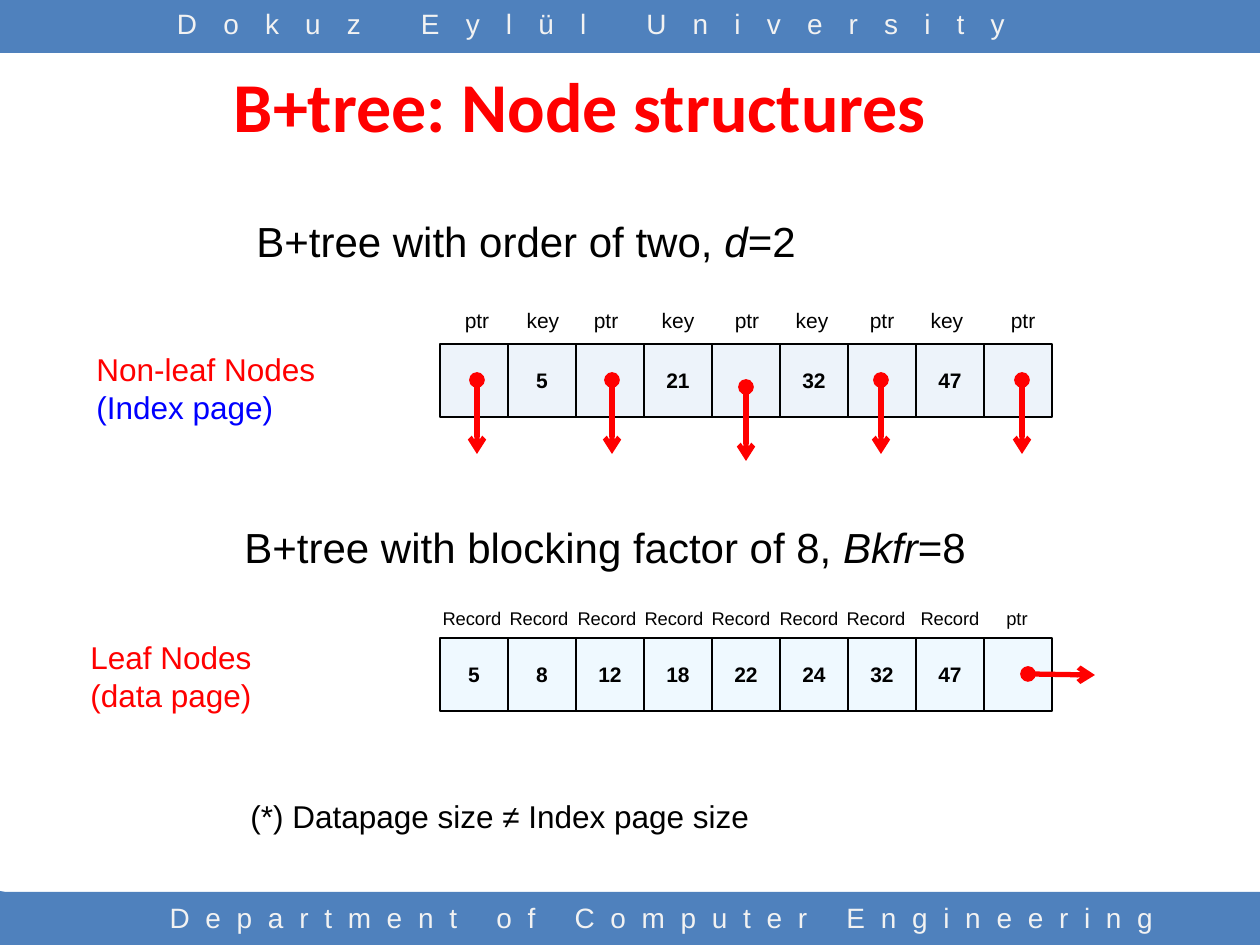
from dataclasses import dataclass

from lxml import etree
from pptx import Presentation
from pptx.dml.color import RGBColor
from pptx.enum.shapes import MSO_CONNECTOR, MSO_SHAPE
from pptx.enum.text import MSO_ANCHOR, MSO_AUTO_SIZE, PP_ALIGN
from pptx.oxml.ns import qn
from pptx.util import Pt

RECTANGLE = MSO_SHAPE.RECTANGLE
STRAIGHT = MSO_CONNECTOR.STRAIGHT
LEFT, CENTER = PP_ALIGN.LEFT, PP_ALIGN.CENTER
MIDDLE = MSO_ANCHOR.MIDDLE
FIT_SHAPE, FIT_NONE = MSO_AUTO_SIZE.SHAPE_TO_FIT_TEXT, MSO_AUTO_SIZE.NONE

PX_PER_INCH = 126
SLIDE_W, SLIDE_H = 1260, 945
BAND_H = 53
CELL_LEFT, CELL_W, CELL_H = 440, 68, 73
LABEL_WIDTHS = {"ptr": 54, "key": 62, "Record": 88}


@dataclass(frozen=True)
class Theme:
    body_font: str = "Arial"
    title_font: str = "Calibri"
    band: str = "4F81BD"
    band_text: str = "F2F2F2"
    red: str = "FF0000"
    blue: str = "0000FF"
    black: str = "000000"
    index_cell: str = "C6D9F1"
    leaf_cell: str = "CCECFF"
    cell_opacity: int = 30
    title_size: float = 40
    heading_size: float = 24
    note_size: float = 18
    band_size: float = 16
    cell_size: float = 12
    record_size: float = 10.5


THEME = Theme()


def px(length):
    return round(length * 914400 / PX_PER_INCH)


def box(left, top, width, height):
    return px(left), px(top), px(width), px(height)


def style(font, size, color, name=THEME.body_font, bold=False):
    font.size, font.name, font.bold = Pt(size), name, bold
    font.color.rgb = RGBColor.from_string(color)


def paint(shape, color):
    shape.shadow.inherit = False
    shape.fill.solid()
    shape.fill.fore_color.rgb = RGBColor.from_string(color)
    shape.line.fill.background()


def add_text(shapes, place, lines, size, colors, align=LEFT, wrap=False):
    """Add one paragraph for each line, with one colour each."""
    frame = shapes.add_textbox(*box(*place)).text_frame
    frame.word_wrap = wrap
    frame.auto_size = FIT_SHAPE
    frame.text = "\n".join(lines)
    for paragraph, color in zip(frame.paragraphs, colors):
        paragraph.alignment = align
        for run in paragraph.runs:
            style(run.font, size, color)
    return frame


def add_heading(shapes, place, lead, symbol, value):
    paragraph = add_text(shapes, place, [lead], THEME.heading_size, [THEME.black]).paragraphs[0]
    for part in (symbol, value):
        run = paragraph.add_run()
        run.text = part
        style(run.font, THEME.heading_size, THEME.black)
        run.font.italic = part == symbol


def add_band(shapes, top, text, text_place, spacing):
    """Add a full-width band with letter-spaced text."""
    paint(shapes.add_shape(RECTANGLE, *box(0, top, SLIDE_W, BAND_H)), THEME.band)
    frame = add_text(shapes, text_place, [text], THEME.band_size,
                     [THEME.band_text], CENTER, wrap=True)
    frame.auto_size = FIT_NONE
    frame.paragraphs[0].runs[0].font._element.set("spc", str(spacing * 100))


def add_corner(shapes, points):
    start, *others = [(px(x), px(y)) for x, y in points]
    builder = shapes.build_freeform(*start)
    builder.add_line_segments(others, close=True)
    paint(builder.convert_to_shape(), THEME.band)


def add_pointer(shapes, start, end):
    pointer = shapes.add_connector(STRAIGHT, *map(px, start + end))
    pointer.line.color.rgb = RGBColor.from_string(THEME.red)
    pointer.line.width = Pt(3)
    line = pointer.line._ln
    etree.SubElement(line, qn("a:headEnd"), type="oval")
    etree.SubElement(line, qn("a:tailEnd"), type="arrow")
    etree.SubElement(line.getparent(), qn("a:effectLst"))


def add_cell(shapes, column, top, value, color):
    place = box(CELL_LEFT + column * CELL_W, top, CELL_W, CELL_H)
    cell = shapes.add_shape(RECTANGLE, *place)
    paint(cell, color)
    tint = cell._element.spPr.find(qn("a:solidFill"))[0]
    etree.SubElement(tint, qn("a:alpha"), val=str(THEME.cell_opacity * 1000))
    cell.line.color.rgb = RGBColor.from_string(THEME.black)
    cell.line.width = Pt(0.75)
    if value:
        frame = cell.text_frame
        frame.text = value
        frame.vertical_anchor = MIDDLE
        frame.paragraphs[0].alignment = CENTER
        style(frame.paragraphs[0].runs[0].font, THEME.cell_size, THEME.black, bold=True)


def add_node(shapes, top, values, color, labels, centers, label_top, label_size, pointers):
    """Add a row of cells with the labels above and the pointers leaving it."""
    node = shapes.add_group_shape().shapes
    for column, value in enumerate(values):
        add_cell(node, column, top, value, color)
    for start, end in pointers:
        add_pointer(node, start, end)
    for label, center in zip(labels, centers):
        width = LABEL_WIDTHS[label]
        add_text(node, (center - width // 2, label_top, width, 37), [label],
                 label_size, [THEME.black], CENTER)


def main():
    deck = Presentation()
    deck.slide_width, deck.slide_height = px(SLIDE_W), px(SLIDE_H)
    slide = deck.slides.add_slide(deck.slide_layouts[5])
    shapes = slide.shapes

    # Title
    title = shapes.title
    title.left, title.top, title.width, title.height = box(60, 44, 1040, 120)
    title.text_frame.text = "B+tree: Node structures"
    title.text_frame.vertical_anchor = MIDDLE
    title.text_frame.auto_size = FIT_NONE
    title.text_frame.paragraphs[0].alignment = CENTER
    style(title.text_frame.paragraphs[0].runs[0].font, THEME.title_size, THEME.red,
          THEME.title_font, bold=True)

    # Header and footer
    add_band(shapes, 0, "Dokuz Eylül University", (82, 0, 1019, BAND_H), 15)
    add_corner(shapes, [(111, 893), (116, 893), (116, 945), (59, 945)])
    add_corner(shapes, [(5, 892), (58, 945), (0, 945), (0, 891)])
    add_band(shapes, SLIDE_H - BAND_H, "Department of Computer Engineering",
             (116, 894, 1092, 50), 9)

    # Headings and captions
    add_heading(shapes, (244, 209, 570, 63), "B+tree with order of two, ", "d", "=2")
    add_heading(shapes, (232, 515, 777, 63), "B+tree with blocking factor of 8, ", "Bkfr", "=8")
    add_text(shapes, (84, 344, 247, 89), ["Non-leaf Nodes", "(Index page)"],
             THEME.note_size, [THEME.red, THEME.blue])
    add_text(shapes, (78, 632, 188, 89), ["Leaf Nodes", "(data page)"],
             THEME.note_size, [THEME.red, THEME.red])

    # Index page: pointers alternate with keys
    drops = [(477, 380), (612, 380), (746, 387), (881, 380), (1022, 380)]
    add_node(shapes, 344, ["", "5", "", "21", "", "32", "", "47", ""], THEME.index_cell,
             ["ptr", "key"] * 4 + ["ptr"],
             [477, 543, 606, 678, 747, 812, 882, 947, 1023], 301, THEME.cell_size,
             [((x, y), (x, y + 74)) for x, y in drops])

    # Data page: eight records and a pointer to the next leaf
    add_node(shapes, 638, ["5", "8", "12", "18", "22", "24", "32", "47", ""], THEME.leaf_cell,
             ["Record"] * 8 + ["ptr"],
             [472, 539, 607, 674, 741, 809, 876, 950, 1017], 601, THEME.record_size,
             [((1028, 674), (1095, 675))])

    # Note
    add_text(shapes, (238, 791, 527, 51), ["(*) Datapage size ≠ Index page size"],
             THEME.note_size, [THEME.black], wrap=True)

    deck.save("out.pptx")


if __name__ == "__main__":
    main()
